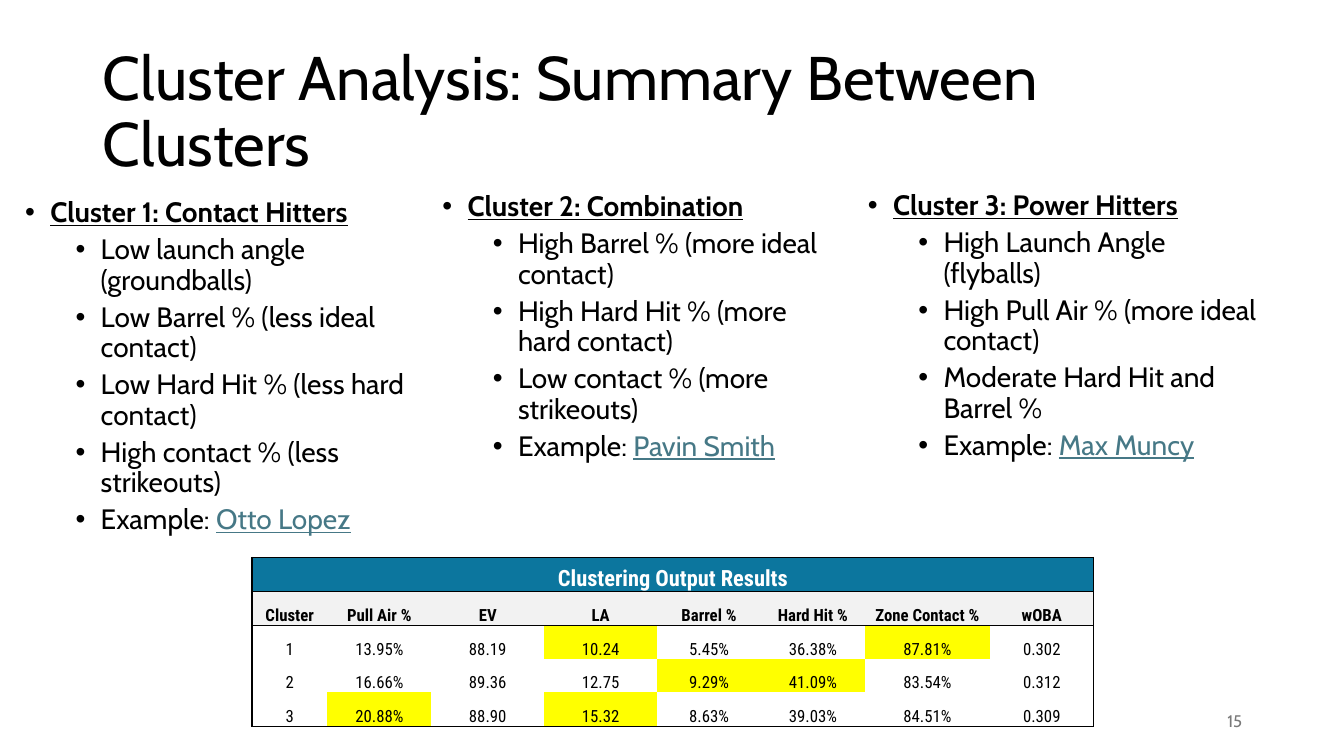
from dataclasses import dataclass

from lxml.etree import SubElement
from pptx import Presentation
from pptx.dml.color import RGBColor
from pptx.enum.text import MSO_ANCHOR, MSO_AUTO_SIZE, PP_ALIGN
from pptx.oxml.ns import qn
from pptx.slide import Slide
from pptx.table import _Cell
from pptx.text.text import TextFrame, _Paragraph
from pptx.util import Emu, Inches, Pt

SLIDE_WIDTH, SLIDE_HEIGHT = Inches(13.33), Inches(7.5)
BLACK = RGBColor(0x00, 0x00, 0x00)
WHITE = RGBColor(0xFF, 0xFF, 0xFF)
GREY = RGBColor(0x79, 0x79, 0x79)
PALE_GREY = RGBColor(0xF2, 0xF2, 0xF2)
LINK_BLUE = RGBColor(0x46, 0x78, 0x86)
TABLE_BLUE = RGBColor(0x0C, 0x76, 0x9E)
YELLOW = RGBColor(0xFF, 0xFF, 0x00)
BODY_FONT, TABLE_FONT = "Cabin", "Roboto Condensed"


def across(percent: float) -> Emu:
    """Return a percentage of the slide's width."""
    return Emu(round(SLIDE_WIDTH * percent / 100))


def down(percent: float) -> Emu:
    """Return a percentage of the slide's height."""
    return Emu(round(SLIDE_HEIGHT * percent / 100))


@dataclass(frozen=True)
class Box:
    """A rectangle in percentages of the slide's size."""

    left: float
    top: float
    width: float
    height: float

    def lengths(self) -> tuple[Emu, Emu, Emu, Emu]:
        """Return left, top, width and height as lengths."""
        return across(self.left), down(self.top), across(self.width), down(self.height)


@dataclass(frozen=True)
class Cluster:
    """One bulleted summary of a cluster."""

    box: Box
    heading: str
    traits: tuple[str, ...]
    example: str


TITLE_BOX = Box(6.9, 5.33, 86.27, 19.33)
NUMBER_BOX = Box(70.67, 92.67, 22.5, 5.33)
TABLE_BOX = Box(18.75, 73.73, 62.64, 22.4)
CLUSTERS = (
    Cluster(
        Box(1.13, 25.6, 33, 47.2),
        "Cluster 1: Contact Hitters",
        (
            "Low launch angle (groundballs)",
            "Low Barrel % (less ideal contact)",
            "Low Hard Hit % (less hard contact)",
            "High contact % (less strikeouts)",
        ),
        "Otto Lopez",
    ),
    Cluster(
        Box(32.18, 24.8, 30.83, 42.4),
        "Cluster 2: Combination",
        (
            "High Barrel % (more ideal contact)",
            "High Hard Hit % (more hard contact)",
            "Low contact % (more strikeouts)",
        ),
        "Pavin Smith",
    ),
    Cluster(
        Box(63.84, 24.67, 30.83, 42.4),
        "Cluster 3: Power Hitters",
        (
            "High Launch Angle (flyballs)",
            "High Pull Air % (more ideal contact)",
            "Moderate Hard Hit and Barrel %",
        ),
        "Max Muncy",
    ),
)
TABLE_TITLE = "Clustering Output Results"
HEADINGS = ("Cluster", "Pull Air %", "EV", "LA", "Barrel %", "Hard Hit %", "Zone Contact %", "wOBA")
RESULTS = (
    ("1", "13.95%", "88.19", "10.24", "5.45%", "36.38%", "87.81%", "0.302"),
    ("2", "16.66%", "89.36", "12.75", "9.29%", "41.09%", "83.54%", "0.312"),
    ("3", "20.88%", "88.90", "15.32", "8.63%", "39.03%", "84.51%", "0.309"),
)
HIGHLIGHTS = {"10.24", "87.81%", "9.29%", "41.09%", "20.88%", "15.32"}
COLUMN_WIDTHS = (5.62, 7.73, 8.4, 8.4, 7.73, 7.73, 9.3, 7.73)
ROW_HEIGHTS = (4.53, 4.53, 4.4, 4.4, 4.53)


def add_run(paragraph: _Paragraph, text: str, size: float, color: RGBColor = BLACK,
            font: str = BODY_FONT, bold: bool = False, underline: bool = False) -> None:
    """Add one formatted run to a paragraph."""
    run = paragraph.add_run()
    run.text = text
    run.font.name, run.font.size = font, Pt(size)
    run.font.bold, run.font.underline = bold, underline
    run.font.color.rgb = color


def add_text_box(slide: Slide, box: Box) -> TextFrame:
    """Add a wrapping text box and return its frame."""
    frame = slide.shapes.add_textbox(*box.lengths()).text_frame
    frame.word_wrap = True
    return frame


def format_bullet(paragraph: _Paragraph, level: int) -> None:
    """Give a paragraph a bullet, a hanging indent and its spacing."""
    properties = paragraph._p.get_or_add_pPr()
    properties.set("marL", str(Inches(0.25 + 0.5 * level)))
    properties.set("indent", str(-Inches(0.25)))
    SubElement(properties, qn("a:buFont"), typeface="Arial")
    SubElement(properties, qn("a:buChar"), char="•")
    paragraph.level = level
    paragraph.line_spacing = 0.9
    paragraph.space_before = Pt(5 * level)


def add_title(slide: Slide) -> None:
    """Place and fill the title placeholder."""
    title = slide.shapes.title
    title.left, title.top, title.width, title.height = TITLE_BOX.lengths()
    frame = title.text_frame
    frame.auto_size = MSO_AUTO_SIZE.NONE
    frame.vertical_anchor = MSO_ANCHOR.MIDDLE
    paragraph = frame.paragraphs[0]
    paragraph.alignment, paragraph.line_spacing = PP_ALIGN.LEFT, 0.9
    add_run(paragraph, "Cluster Analysis: Summary Between Clusters", 44)


def add_cluster(slide: Slide, cluster: Cluster) -> None:
    """Add a cluster's heading, traits and example player."""
    frame = add_text_box(slide, cluster.box)
    heading = frame.paragraphs[0]
    format_bullet(heading, 0)
    add_run(heading, cluster.heading, 20, bold=True, underline=True)
    for text in (*cluster.traits, "Example: "):
        paragraph = frame.add_paragraph()
        format_bullet(paragraph, 1)
        add_run(paragraph, text, 20)
    add_run(paragraph, cluster.example, 20, LINK_BLUE, underline=True)


def draw_borders(cell: _Cell, borders: dict[str, bool]) -> None:
    """Draw or clear each named edge of a cell."""
    for edge, visible in borders.items():
        line = SubElement(cell._tc.get_or_add_tcPr(), qn(f"a:{edge}"), w=str(Pt(1)))
        if visible:
            fill = SubElement(line, qn("a:solidFill"))
            SubElement(fill, qn("a:srgbClr"), val=str(BLACK))
        else:
            SubElement(line, qn("a:noFill"))


def add_results_table(slide: Slide) -> None:
    """Add the table of clustering results."""
    blanks = ("",) * (len(HEADINGS) - 1)
    rows = ((TABLE_TITLE, *blanks), HEADINGS, *RESULTS)
    last_row, last_column = len(rows) - 1, len(HEADINGS) - 1
    table = slide.shapes.add_table(len(rows), len(HEADINGS), *TABLE_BOX.lengths()).table
    table.first_row = table.horz_banding = False
    for column, width in zip(table.columns, COLUMN_WIDTHS):
        column.width = across(width)
    for row, height in zip(table.rows, ROW_HEIGHTS):
        row.height = down(height)
    table.cell(0, 0).merge(table.cell(0, last_column))
    for row_index, values in enumerate(rows):
        for column_index, value in enumerate(values):
            cell = table.cell(row_index, column_index)
            cell.margin_left = cell.margin_right = cell.margin_top = Inches(0.01)
            cell.margin_bottom = 0
            cell.vertical_anchor = MSO_ANCHOR.BOTTOM
            draw_borders(cell, {
                "lnL": column_index == 0,
                "lnR": column_index == last_column or row_index == 0,
                "lnT": row_index <= 2,
                "lnB": row_index <= 1 or row_index == last_row,
            })
            fill = {0: TABLE_BLUE, 1: PALE_GREY}.get(row_index)
            if value in HIGHLIGHTS:
                fill = YELLOW
            if fill is None:
                cell.fill.background()
            else:
                cell.fill.solid()
                cell.fill.fore_color.rgb = fill
            if value:
                paragraph = cell.text_frame.paragraphs[0]
                paragraph.alignment = PP_ALIGN.CENTER
                size, color = (16, WHITE) if row_index == 0 else (12, BLACK)
                add_run(paragraph, value, size, color, TABLE_FONT, bold=row_index <= 1)


def add_slide_number(slide: Slide) -> None:
    """Add the slide number at the lower right."""
    frame = add_text_box(slide, NUMBER_BOX)
    frame.vertical_anchor = MSO_ANCHOR.MIDDLE
    frame.paragraphs[0].alignment = PP_ALIGN.RIGHT
    add_run(frame.paragraphs[0], "15", 12, GREY)


def main() -> None:
    """Build and save the slide."""
    presentation = Presentation()
    presentation.slide_width, presentation.slide_height = SLIDE_WIDTH, SLIDE_HEIGHT
    slide = presentation.slides.add_slide(presentation.slide_layouts[5])
    add_title(slide)
    for cluster in CLUSTERS:
        add_cluster(slide, cluster)
    add_results_table(slide)
    add_slide_number(slide)
    presentation.save("out.pptx")


if __name__ == "__main__":
    main()
